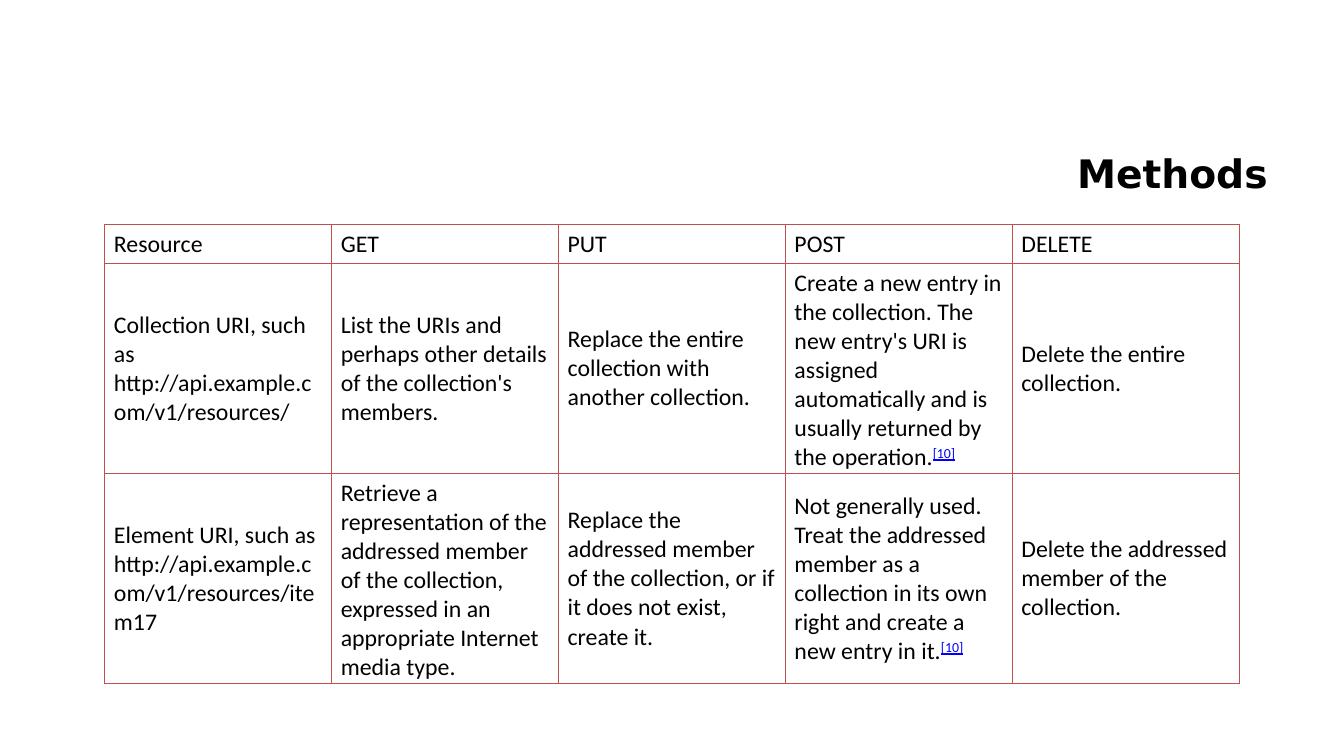
from dataclasses import dataclass

from lxml.etree import SubElement
from pptx import Presentation
from pptx.dml.color import RGBColor as Rgb
from pptx.enum.text import MSO_ANCHOR as Anchor, PP_ALIGN as Align
from pptx.oxml.ns import qn
from pptx.util import Inches, Pt


@dataclass(frozen=True)
class Theme:
    """Colours, fonts and type sizes of the slide."""
    ink: str = "000000"
    citation: str = "0000FF"
    border: str = "C0504D"
    title_font: str = "DejaVu Sans"
    body_font: str = "Calibri"
    title_size: float = 28
    body_size: float = 17
    border_width: float = 1


THEME = Theme()
CITATION = "[10]"
METHODS = [
    ["Resource", "GET", "PUT", "POST", "DELETE"],
    [
        "Collection URI, such as http://api.example.com/v1/resources/",
        "List the URIs and perhaps other details of the collection's members.",
        "Replace the entire collection with another collection.",
        "Create a new entry in the collection. The new entry's URI is assigned "
        "automatically and is usually returned by the operation." + CITATION,
        "Delete the entire collection.",
    ],
    [
        "Element URI, such as http://api.example.com/v1/resources/item17",
        "Retrieve a representation of the addressed member of the collection, "
        "expressed in an appropriate Internet media type.",
        "Replace the addressed member of the collection, or if it does not "
        "exist, create it.",
        "Not generally used. Treat the addressed member as a collection in its "
        "own right and create a new entry in it." + CITATION,
        "Delete the addressed member of the collection.",
    ],
]
ROW_HEIGHTS = [0.38, 2.06, 2.06]
COLUMN_WIDTH = 2.25


def add_run(paragraph, text, font, size, color):
    """Append a styled run and return it."""
    run = paragraph.add_run()
    run.text = text
    run.font.name = font
    run.font.size = Pt(size)
    run.font.color.rgb = Rgb.from_string(color)
    return run


def add_title(slide, text):
    """Add the right-aligned bold heading."""
    heading = slide.shapes.add_textbox(
        Inches(2.89), Inches(1.25), Inches(9.78), Inches(0.92))
    frame = heading.text_frame
    frame.word_wrap = True
    frame.vertical_anchor = Anchor.MIDDLE
    paragraph = frame.paragraphs[0]
    paragraph.alignment = Align.RIGHT
    run = add_run(paragraph, text, THEME.title_font, THEME.title_size, THEME.ink)
    run.font.bold = True


def add_citation(paragraph):
    """Append the underlined superscript reference mark."""
    run = add_run(paragraph, CITATION, THEME.body_font, THEME.body_size,
                  THEME.citation)
    run.font.underline = True
    run.font._element.set("baseline", "30000")


def set_borders(cell):
    """Outline all four sides of a cell."""
    properties = cell._tc.get_or_add_tcPr()
    for side in ("a:lnL", "a:lnR", "a:lnT", "a:lnB"):
        line = SubElement(properties, qn(side), w=str(Pt(THEME.border_width)))
        fill = SubElement(line, qn("a:solidFill"))
        SubElement(fill, qn("a:srgbClr"), val=THEME.border)


def fill_cell(cell, text):
    """Style one cell and write its text, with a citation where it ends in one."""
    set_borders(cell)
    cell.fill.background()
    cell.vertical_anchor = Anchor.MIDDLE
    cell.margin_left = cell.margin_right = Inches(0.09)
    cell.margin_top = cell.margin_bottom = Inches(0.05)
    paragraph = cell.text_frame.paragraphs[0]
    add_run(paragraph, text.removesuffix(CITATION), THEME.body_font,
            THEME.body_size, THEME.ink)
    if text.endswith(CITATION):
        add_citation(paragraph)


def add_methods_table(slide, methods):
    """Add the grid of resources and HTTP methods."""
    column_count = len(methods[0])
    table = slide.shapes.add_table(
        len(methods), column_count, Inches(1.04), Inches(2.23),
        Inches(COLUMN_WIDTH * column_count), Inches(sum(ROW_HEIGHTS))).table
    table.first_row = table.horz_banding = False
    for column in table.columns:
        column.width = Inches(COLUMN_WIDTH)
    for row, height, texts in zip(table.rows, ROW_HEIGHTS, methods):
        row.height = Inches(height)
        for cell, text in zip(row.cells, texts):
            fill_cell(cell, text)


def main():
    """Build and save the slide."""
    deck = Presentation()
    deck.slide_width, deck.slide_height = Inches(13.33), Inches(7.5)
    slide = deck.slides.add_slide(deck.slide_layouts[6])
    add_title(slide, "Methods")
    add_methods_table(slide, METHODS)
    deck.save("out.pptx")


main()
